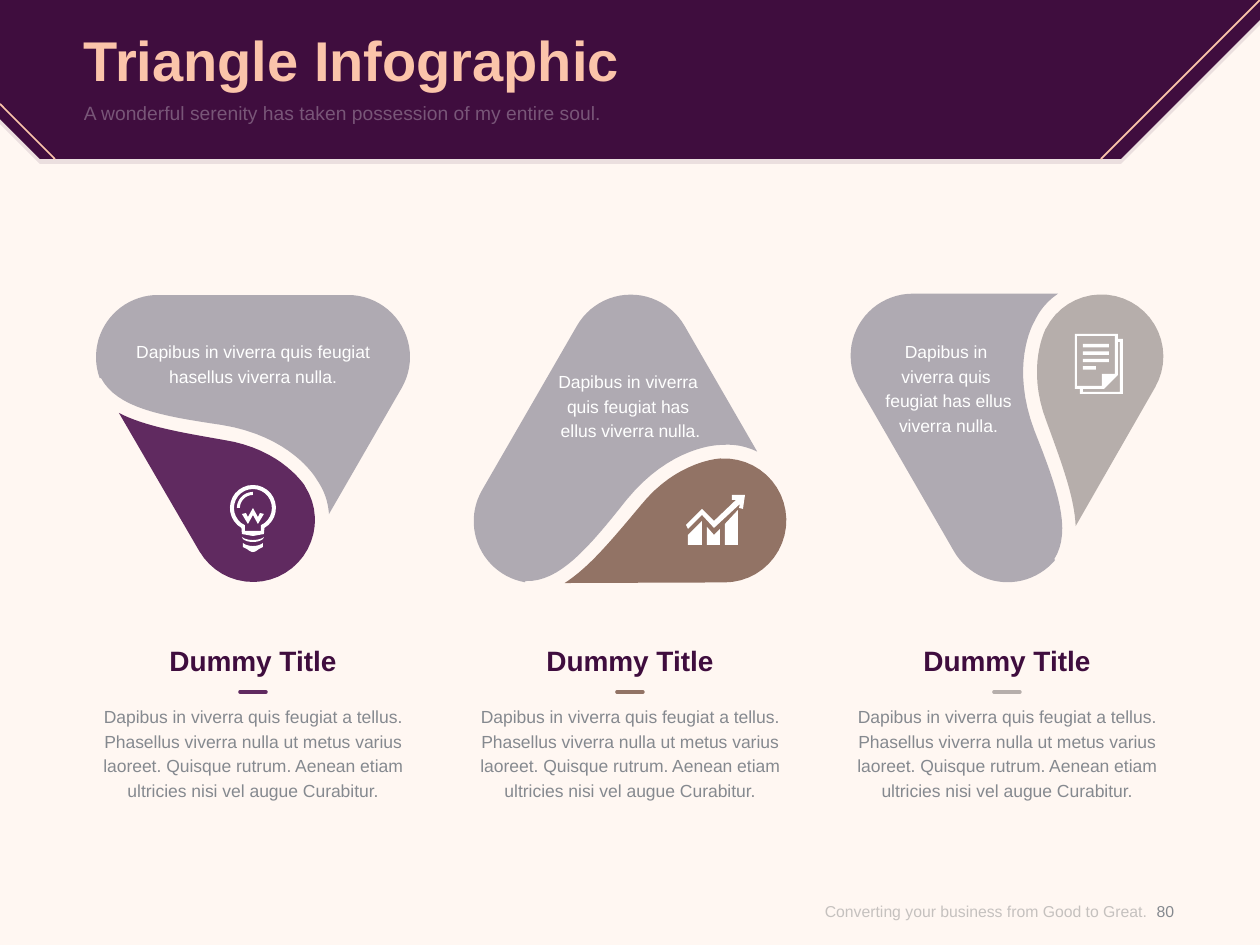
import math

import pptx
import pptx.dml.color
import pptx.enum.shapes
import pptx.enum.text
import pptx.oxml
import pptx.oxml.ns
import pptx.util

PX = 914400 // 126
ALIGN = pptx.enum.text.PP_ALIGN
ANCHOR = pptx.enum.text.MSO_ANCHOR
COLORS = {
    "paper": "FFF7F2", "plum": "3F0D3E", "peach": "FBC4AA", "white": "FFFFFF",
    "slate": "605F73", "purple": "602A60", "brown": "927365", "taupe": "B6AEAB",
    "gray": "85898F", "footer": "8C8C8C",
}


def arc(x, y, radius, start, end, steps=24):
    """Points on a circle, with angles in degrees clockwise from the right."""
    angles = [math.radians(start + (end - start) * i / steps) for i in range(steps + 1)]
    return [(x + radius * math.cos(a), y + radius * math.sin(a)) for a in angles]


def curve(*controls, steps=16):
    """Points on the cubic curve through four control points."""
    points = []
    for i in range(steps + 1):
        t = i / steps
        weights = [math.comb(3, k) * t ** k * (1 - t) ** (3 - k) for k in range(4)]
        points.append(tuple(sum(w * c[axis] for w, c in zip(weights, controls)) for axis in (0, 1)))
    return points


def dip(left, right, y):
    return curve((left, y), (left + 5, y + 4), (right - 5, y + 4), (right, y))


def rectangle(left, top, right, bottom):
    return [(left, top), (right, top), (right, bottom), (left, bottom)]


def turn(points, degrees, x, y):
    """Turn points counterclockwise around the origin, then move the origin to x, y."""
    c, s = math.cos(math.radians(degrees)), math.sin(math.radians(degrees))
    return [(x + px * c + py * s, y - px * s + py * c) for px, py in points]


class Deck:
    font = "Arial"

    def __init__(self, width, height):
        self.presentation = pptx.Presentation()
        self.presentation.slide_width = width * PX
        self.presentation.slide_height = height * PX
        self.slide = self.presentation.slides.add_slide(self.presentation.slide_layouts[6])
        background = self.slide.background.fill
        background.solid()
        self.paint(background.fore_color, "paper")

    def paint(self, color, name):
        color.rgb = pptx.dml.color.RGBColor.from_string(COLORS[name])

    def fade(self, element, percent):
        """Set the opacity of the colours inside an XML element."""
        for color in element.iter(pptx.oxml.ns.qn("a:srgbClr")):
            color.append(pptx.oxml.parse_xml(
                f'<a:alpha {pptx.oxml.ns.nsdecls("a")} val="{percent * 1000}"/>'))

    def outline(self, contours, color, opacity=100):
        first, *others = [[(x * PX, y * PX) for x, y in contour] for contour in contours]
        builder = self.slide.shapes.build_freeform(*first[0])
        builder.add_line_segments(first[1:], close=True)
        for points in others:
            builder.move_to(*points[0])
            builder.add_line_segments(points[1:], close=True)
        shape = builder.convert_to_shape()
        shape.shadow.inherit = False
        shape.fill.solid()
        self.paint(shape.fill.fore_color, color)
        shape.line.fill.background()
        if opacity < 100:
            self.fade(shape.element.spPr, opacity)

    def line(self, x1, y1, x2, y2, color, width=1, cap="flat"):
        connector = self.slide.shapes.add_connector(
            pptx.enum.shapes.MSO_CONNECTOR.STRAIGHT, x1 * PX, y1 * PX, x2 * PX, y2 * PX)
        self.paint(connector.line.color, color)
        connector.line.width = pptx.util.Pt(width)
        properties = connector.element.spPr
        properties.find(pptx.oxml.ns.qn("a:ln")).set("cap", cap)
        properties.append(pptx.oxml.parse_xml(f'<a:effectLst {pptx.oxml.ns.nsdecls("a")}/>'))

    def text(self, box, words, size, color, align=ALIGN.CENTER, anchor=ANCHOR.TOP,
             bold=False, spacing=None, opacity=100):
        shape = self.slide.shapes.add_textbox(*(length * PX for length in box))
        frame = shape.text_frame
        frame.word_wrap = True
        frame.margin_left = frame.margin_right = frame.margin_top = frame.margin_bottom = 0
        frame.vertical_anchor = anchor
        frame.text = words
        for paragraph in frame.paragraphs:
            paragraph.alignment = align
            if spacing:
                paragraph.line_spacing = pptx.util.Pt(spacing)
            paragraph.font.name = self.font
            paragraph.font.size = pptx.util.Pt(size)
            paragraph.font.bold = bold
            paragraph.font.fill.solid()
            self.paint(paragraph.font.fill.fore_color, color)
        if opacity < 100:
            self.fade(shape.element, opacity)


# The divided triangle, pointing down, around its centre of gravity
ROUND = 62
LARGE_PART = [
    *arc(95, -54, ROUND, 30, -90),
    *arc(-95, -54, ROUND, -90, -200),
    *curve((-152, -33), (-136, -3), (-92, 5), (-31, 14)),
    *curve((-31, 14), (37, 25), (62, 65), (64, 69)),
    *curve((64, 69), (71, 79), (75, 90), (76, 103)),
]
ACCENT_PART = [
    *arc(0, 109, ROUND, 150, -33),
    *curve((52, 75), (52, 75), (29, 38), (-29, 29)),
    *curve((-29, 29), (-75, 21), (-109, 15), (-134, 2)),
]

BULB = [
    [*arc(253, 508, 23, 120, 420), (264, 534), (253, 536), (242, 534)],
    [*arc(253, 508, 19, 115, 425), (261, 531), (245, 531)],
    [*arc(253, 508, 16, 180, 270), *arc(253, 508, 13, 270, 180)],
    [*dip(242, 264, 537), *reversed(dip(243, 263, 539))],
    [*dip(243, 263, 543), (263, 547), *reversed(dip(247, 259, 549)), (243, 547)],
    [(253, 508), (258, 517), (260, 513), (264, 514), (258, 524),
     (253, 515), (248, 524), (242, 514), (246, 513), (248, 517)],
]
GROWTH = [
    [(688, 535), (702, 521), (702, 545), (688, 545)],
    [(707, 527), (714, 535), (720, 529), (720, 545), (707, 545)],
    [(725, 524), (738, 510), (738, 545), (725, 545)],
    [(732, 495), (745, 495), (743, 509), (739, 508), (740, 504), (714, 528),
     (702, 515), (688, 529), (686, 525), (702, 509), (714, 521), (736, 500), (732, 500)],
]
PAGES = [
    [(1118, 339), (1118, 334), (1075, 334), (1075, 389), (1080, 389),
     (1080, 394), (1123, 394), (1123, 339)],
    [(1077, 386), (1077, 336), (1115, 336), (1115, 374), (1102, 374), (1102, 386)],
    [(1120, 392), (1083, 392), (1083, 389), (1104, 389), (1118, 375), (1118, 342), (1120, 342)],
    *[rectangle(1083, 344 + 7.4 * row, 1109 if row < 3 else 1096, 347.5 + 7.4 * row)
      for row in range(4)],
]
COLUMNS = [
    ("purple", BULB, (134, 338, 238, 48), "Dapibus in viverra quis feugiat \nhasellus viverra nulla."),
    ("brown", GROWTH, (541, 368, 179, 74), "Dapibus in viverra \vquis feugiat has \vellus viverra nulla."),
    ("taupe", PAGES, (859, 338, 179, 98), "Dapibus in \vviverra quis \vfeugiat has ellus viverra nulla."),
]
DESCRIPTION = ("Dapibus in viverra quis feugiat a tellus. Phasellus viverra nulla ut metus varius "
               "laoreet. Quisque rutrum. Aenean etiam ultricies nisi vel augue Curabitur.")


def main():
    deck = Deck(1260, 945)
    banner = [(1121, 159), (40, 159), (0, 119), (0, 0), (1260, 0), (1260, 20)]
    deck.outline([[(x, y + 5) for x, y in banner]], "plum", opacity=10)
    deck.outline([banner], "plum")
    deck.line(1260, 0, 1101, 159, "peach")
    deck.line(0, 104, 55, 159, "peach")
    deck.text((84, 18, 1091, 82), "Triangle Infographic", 32, "peach",
              ALIGN.LEFT, ANCHOR.MIDDLE, bold=True)
    deck.text((84, 101, 1091, 49), "A wonderful serenity has taken possession of my entire soul.",
              11, "white", ALIGN.LEFT, opacity=30)
    deck.text((761, 877, 386, 68), "Converting your business from Good to Great.",
              9, "footer", ALIGN.RIGHT, ANCHOR.MIDDLE, opacity=50)
    deck.text((1136, 877, 59, 68), "80", 9, "gray", anchor=ANCHOR.MIDDLE)

    for index, (accent, icon, caption_box, caption) in enumerate(COLUMNS):
        center = 253 + 377 * index
        left = center - 169
        deck.text((left, 703, 338, 97), DESCRIPTION, 10, "gray", spacing=14)
        deck.line(center - 13, 692, center + 13, 692, accent, width=2, cap="rnd")
        deck.text((left, 644, 338, 34), "Dummy Title", 16, "plum", bold=True)
        placement = (60 * index, center, 411 + 55 * (index % 2))
        deck.outline([turn(LARGE_PART, *placement)], "slate", opacity=50)
        deck.outline([turn(ACCENT_PART, *placement)], accent)
        deck.outline(icon, "white")
        deck.text(caption_box, caption, 10, "white", spacing=14)

    deck.presentation.save("out.pptx")


if __name__ == "__main__":
    main()
